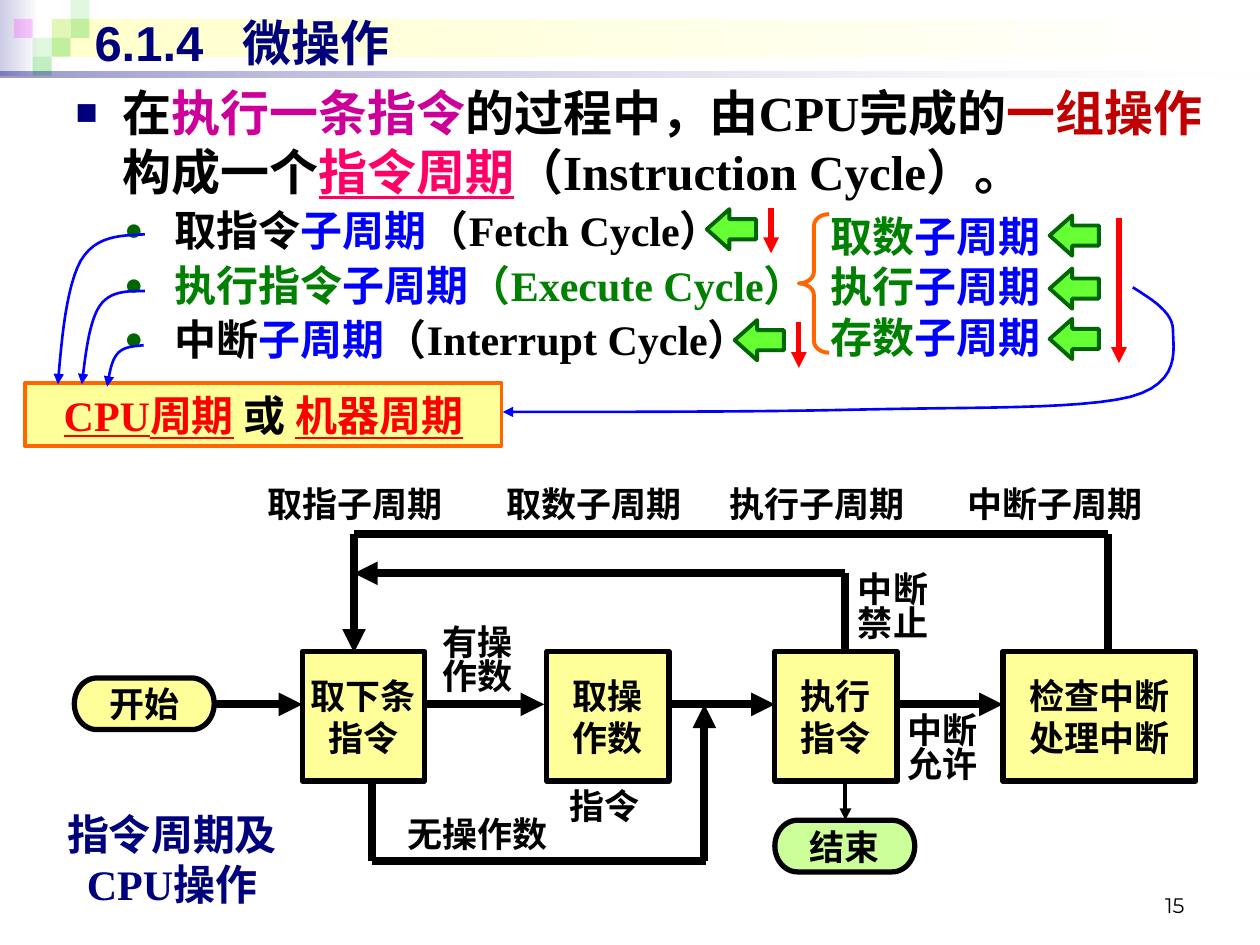
import pptx
import pptx.util
import pptx.dml.color
import pptx.enum.shapes
import pptx.enum.text
import pptx.oxml.ns
from lxml import etree

Pt = pptx.util.Pt
SHAPE = pptx.enum.shapes.MSO_SHAPE
ALIGN = pptx.enum.text.PP_ALIGN
ANCHOR = pptx.enum.text.MSO_ANCHOR
qn = pptx.oxml.ns.qn

SERIF, SANS = "Times New Roman", "Arial"
COLORS = {
    "black": "000000", "white": "FFFFFF", "navy": "00007D", "lilac": "CCCCE6",
    "cream": "FFFFCC", "tile": "33CC33", "magenta": "FF00FF", "purple": "CC0099",
    "crimson": "C00000", "pink": "FF0066", "blue": "0000FF", "green": "008000",
    "forest": "006600", "lime": "66FF33", "yellow": "FFFF99", "mint": "CCFF99",
    "orange": "FF6600", "red": "FF0000",
}


def rgb(color):
    return pptx.dml.color.RGBColor.from_string(COLORS[color])


def points(*lengths):
    return [Pt(length) for length in lengths]


def add_xml(parent, tag, **attributes):
    return etree.SubElement(parent, qn(tag), attributes)


def add_runs(paragraph, parts, size, font=SERIF):
    """Append parts, each (text, color[, underline]), in bold."""
    for text, color, *underline in parts:
        run = paragraph.add_run()
        run.text = text
        run.font.name, run.font.size, run.font.bold = font, Pt(size), True
        run.font.color.rgb = rgb(color)
        if underline:
            run.font.underline = True


def write(frame, paragraphs, size, font=SERIF, align=ALIGN.LEFT,
          anchor=ANCHOR.MIDDLE, wrap=True, insets=(0, 0), spacing=None):
    """Fill a frame; each paragraph is a list of parts for add_runs."""
    frame.word_wrap = wrap
    frame.auto_size = pptx.enum.text.MSO_AUTO_SIZE.NONE
    frame.vertical_anchor = anchor
    frame.margin_left = frame.margin_right = Pt(insets[0])
    frame.margin_top = frame.margin_bottom = Pt(insets[1])
    for index, parts in enumerate(paragraphs):
        paragraph = frame.paragraphs[0] if index == 0 else frame.add_paragraph()
        paragraph.alignment = align
        if spacing:
            paragraph.line_spacing = spacing
        add_runs(paragraph, parts, size, font)


def add_label(slide, box, lines, size=20, color="black", **style):
    label = slide.shapes.add_textbox(*points(*box))
    write(label.text_frame, [[(line, color)] for line in lines], size, **style)


def add_block(slide, kind, box, fill=None, line=None, width=3):
    block = slide.shapes.add_shape(kind, *points(*box))
    block.shadow.inherit = False
    if fill:
        block.fill.solid()
        block.fill.fore_color.rgb = rgb(fill)
    else:
        block.fill.background()
    if line:
        block.line.color.rgb = rgb(line)
        block.line.width = Pt(width)
    else:
        block.line.fill.background()
    return block


def add_step(slide, kind, box, lines, fill="yellow", font=SANS, inset=0):
    step = add_block(slide, kind, box, fill, "black")
    write(step.text_frame, [[(line, "black")] for line in lines], 20, font,
          ALIGN.CENTER, insets=(inset, 0))


def set_opacity(shape, *percents):
    colors = shape._element.spPr.iter(qn("a:srgbClr"))
    for color, percent in zip(colors, percents):
        add_xml(color, "a:alpha", val=str(percent * 1000))


def add_fade(slide, box, start, opacity=(100, 100)):
    """Borderless bar that fades from a colour to white, left to right."""
    bar = add_block(slide, SHAPE.RECTANGLE, box)
    bar.fill.gradient()
    bar.fill.gradient_angle = 0
    for stop, color, position in zip(bar.fill.gradient_stops, (start, "white"), (0, 1)):
        stop.color.rgb = rgb(color)
        stop.position = position
    set_opacity(bar, *opacity)


def style_stroke(stroke, color, width, arrow):
    stroke.line.color.rgb = rgb(color)
    stroke.line.width = Pt(width)
    if arrow:
        add_xml(stroke.line._get_or_add_ln(), "a:tailEnd", type="triangle")
    add_xml(stroke._element.spPr, "a:effectLst")


def add_line(slide, ends, color="black", width=4.5, arrow=True):
    line = slide.shapes.add_connector(pptx.enum.shapes.MSO_CONNECTOR.STRAIGHT, *points(*ends))
    style_stroke(line, color, width, arrow)


def add_curve(slide, knots, steps=12):
    """Arrow along joined cubic curves: start, then two handles and an end each."""
    track = []
    for first in range(0, len(knots) - 1, 3):
        for step in range(1, steps + 1):
            t = step / steps
            weights = ((1 - t) ** 3, 3 * t * (1 - t) ** 2, 3 * t * t * (1 - t), t ** 3)
            track.append(tuple(
                Pt(sum(w * knot[axis] for w, knot in zip(weights, knots[first:first + 4])))
                for axis in (0, 1)))
    builder = slide.shapes.build_freeform(*points(*knots[0]))
    builder.add_line_segments(track, close=False)
    curve = builder.convert_to_shape()
    curve.fill.background()
    style_stroke(curve, "blue", 1.5, True)


def place(slide, placeholder, box):
    """Move a placeholder to its box, in front of what is drawn so far."""
    slide.shapes._spTree.append(placeholder._element)
    placeholder.left, placeholder.top, placeholder.width, placeholder.height = points(*box)


def add_backdrop(slide):
    add_fade(slide, (0, 0, 22.3, 43.2), "lilac")
    add_fade(slide, (29.5, 10.8, 687.6, 21.6), "cream")
    side = 10.8
    for column, row, color, opacity in (
            (2, 1, "tile", 15), (3, 0, "tile", 15), (3, 1, "tile", 30), (1, 2, "tile", 15),
            (0, 1, "magenta", 20), (2, 2, "tile", 30), (1, 3, "tile", 30)):
        tile = add_block(slide, SHAPE.RECTANGLE,
                         (7.9 + column * side, row * side, side, side), color)
        set_opacity(tile, opacity)
    add_fade(slide, (0, 41, 720, 3.6), "navy", (40, 10))


def add_heading(slide):
    title = slide.shapes.title
    place(slide, title, (46.8, 3.6, 664.6, 41))
    write(title.text_frame, [[("6.1.4\t微操作", "navy")]], 28, SANS, insets=(7.2, 3.6))
    tabs = add_xml(title.text_frame.paragraphs[0]._p.get_or_add_pPr(), "a:tabLst")
    add_xml(tabs, "a:tab", pos=str(Pt(84.6)), algn="l")


def add_definition(slide):
    body = slide.placeholders[1]
    place(slide, body, (36, 43.6, 675.4, 187.2))
    frame = body.text_frame
    write(frame, [[
        ("在", "black"), ("执行一条指令", "purple"), ("的过程中，由CPU完成的", "black"),
        ("一组操作", "crimson"), ("构成一个", "black"), ("指令周期", "pink", True),
        ("（Instruction Cycle）。", "black")]], 28, anchor=ANCHOR.TOP, insets=(7.2, 3.6))
    for name, english, color in (("取指令", "（Fetch Cycle）", "black"),
                                 ("执行指令", "（Execute Cycle）", "green"),
                                 ("中断", "（Interrupt Cycle）", "black")):
        paragraph = frame.add_paragraph()
        paragraph.level = 1
        add_runs(paragraph, [(name, color), ("子周期", "blue"), (english, color)], 24)
    for index, paragraph in enumerate(frame.paragraphs):
        left, hang, mark, color = ((56.7, 28.8, "●", "forest") if index
                                   else (27, 27, "■", "navy"))
        paragraph.space_before = Pt(2.4 if index else 0)
        properties = paragraph._p.get_or_add_pPr()
        properties.set("marL", str(Pt(left)))
        properties.set("indent", str(-Pt(hang)))
        add_xml(add_xml(properties, "a:buClr"), "a:srgbClr", val=COLORS[color])
        add_xml(properties, "a:buSzPct", val="75000")
        add_xml(properties, "a:buFont", typeface=SANS)
        add_xml(properties, "a:buChar", char=mark)


def add_cycle_notes(slide):
    stages = slide.shapes.add_textbox(*points(467.6, 116.6, 158.4, 94.3))
    write(stages.text_frame, [[(name, "green"), ("子周期", "blue")]
                              for name in ("取数", "执行", "存数")],
          24, anchor=ANCHOR.TOP, insets=(7.2, 3.6))
    brace = add_block(slide, SHAPE.LEFT_BRACE, (456.5, 122.4, 17.3, 79.2), None, "orange", 2.25)
    brace.adjustments[0] = 0.39
    machine = add_block(slide, SHAPE.RECTANGLE, (14.4, 218.9, 272.2, 36), "yellow", "orange", 2.25)
    write(machine.text_frame, [[("CPU周期", "red", True), (" ", "red"), ("或 ", "black"),
                                ("机器周期", "red", True)]],
          24, align=ALIGN.CENTER, insets=(7.2, 3.6))
    for left, top in ((403.9, 119.5), (599.8, 123.1), (599.8, 153.4),
                      (599.8, 182.2), (419.8, 182.9)):
        pointer = add_block(slide, SHAPE.LEFT_ARROW, (left, top, 28.1, 23), "lime", "forest", 2.25)
        pointer.adjustments[1] = 0.56
    for x, top, bottom in ((440.6, 118.8, 144.7), (639.4, 124.6, 207.4), (456.5, 184.3, 210.2)):
        add_line(slide, (x, top, x, bottom), "red", 3)
    for knots in (
            [(82.8, 166.3), (72.7, 166.3), (62.6, 166.3), (56.9, 175), (51.1, 183.6),
             (49, 201.6), (46.8, 219.6)],
            [(82.8, 133.9), (68.4, 134.6), (54.7, 134.6), (46.1, 149), (38.2, 163.4),
             (35.3, 191.5), (33.1, 219.6)],
            [(82.1, 197.3), (76.3, 198), (70.6, 198), (67, 202.3), (63.4, 206.6),
             (62.6, 213.8), (61.2, 221)],
            [(647.3, 164.2), (658.8, 171.4), (670.3, 178.6), (670.3, 188.6), (670.3, 199.4),
             (675.4, 218.9), (645.8, 226.8), (616.3, 234), (554.4, 232.6), (494.6, 234),
             (434.9, 235.4), (360.7, 235.4), (287.3, 235.4)]):
        add_curve(slide, knots)


def add_flowchart(slide):
    for left, name in ((153, "取指"), (289.5, "取数"), (417, "执行"), (553, "中断")):
        add_label(slide, (left, 275.4, 100, 24.5), [name + "子周期"], wrap=False)
    add_label(slide, (25.2, 461.5, 146.2, 58.3), ["指令周期及", "CPU操作"], 24, "navy",
              align=ALIGN.CENTER)
    axis = 402.5
    for ends in ((122.4, axis, 172.8, axis), (242.6, axis, 311, axis),
                 (383, axis, 442.8, axis), (512.6, axis, 573.1, axis),
                 (483.1, 327.6, 202.3, 327.6), (202.3, 305.3, 202.3, 373),
                 (402.5, 491.8, 402.5, axis)):
        add_line(slide, ends)
    for ends in ((202.3, 305.3, 632.9, 305.3), (632.9, 373, 632.9, 305.3),
                 (483.1, 373, 483.1, 327.6), (212.4, 447.1, 212.4, 491.8),
                 (212.4, 491.8, 403.2, 491.8)):
        add_line(slide, ends, arrow=False)
    add_line(slide, (483.1, 447.1, 483.1, 468.7), width=2.25)
    for left, width, lines, inset in (
            (172.8, 69.8, ["取下条", "指令"], 0), (312.5, 69.8, ["取操作数"], 7.2),
            (442.8, 69.8, ["执行", "指令"], 7.2), (573.1, 110.2, ["检查中断", "处理中断"], 0)):
        add_step(slide, SHAPE.RECTANGLE, (left, 372.2, width, 74.2), lines, inset=inset)
    for left, top, name, fill in ((42.5, 387.4, "开始", "yellow"), (442.8, 468.7, "结束", "mint")):
        add_step(slide, SHAPE.FLOWCHART_TERMINATOR, (left, top, 79.9, 29.5), [name], fill, SERIF)
    for left, top, lines in ((518.4, 409.7, ["中断", "允许"]), (490.3, 329, ["中断", "禁止"]),
                             (252.7, 359.3, ["有操", "作数"])):
        add_label(slide, (left, top, 40.3, 38.2), lines, wrap=False, spacing=0.8)
    add_label(slide, (232.6, 468.7, 80.6, 19.4), ["无操作数"], wrap=False, spacing=0.8)
    add_label(slide, (318, 444.2, 55.4, 31.7), ["指令"], wrap=False, align=ALIGN.CENTER)


def add_page_number(slide):
    number = slide.shapes.add_textbox(*points(516.2, 491.8, 167.8, 36))
    write(number.text_frame, [[("15", "black")]], 12, "Montserrat", ALIGN.RIGHT,
          ANCHOR.BOTTOM, insets=(7.2, 3.6))
    number.text_frame.paragraphs[0].runs[0].font.bold = False


def main():
    deck = pptx.Presentation()
    deck.slide_width, deck.slide_height = points(720, 540)
    slide = deck.slides.add_slide(deck.slide_layouts[1])
    for add_part in (add_backdrop, add_page_number, add_heading, add_definition,
                     add_flowchart, add_cycle_notes):
        add_part(slide)
    deck.save("out.pptx")


if __name__ == "__main__":
    main()
